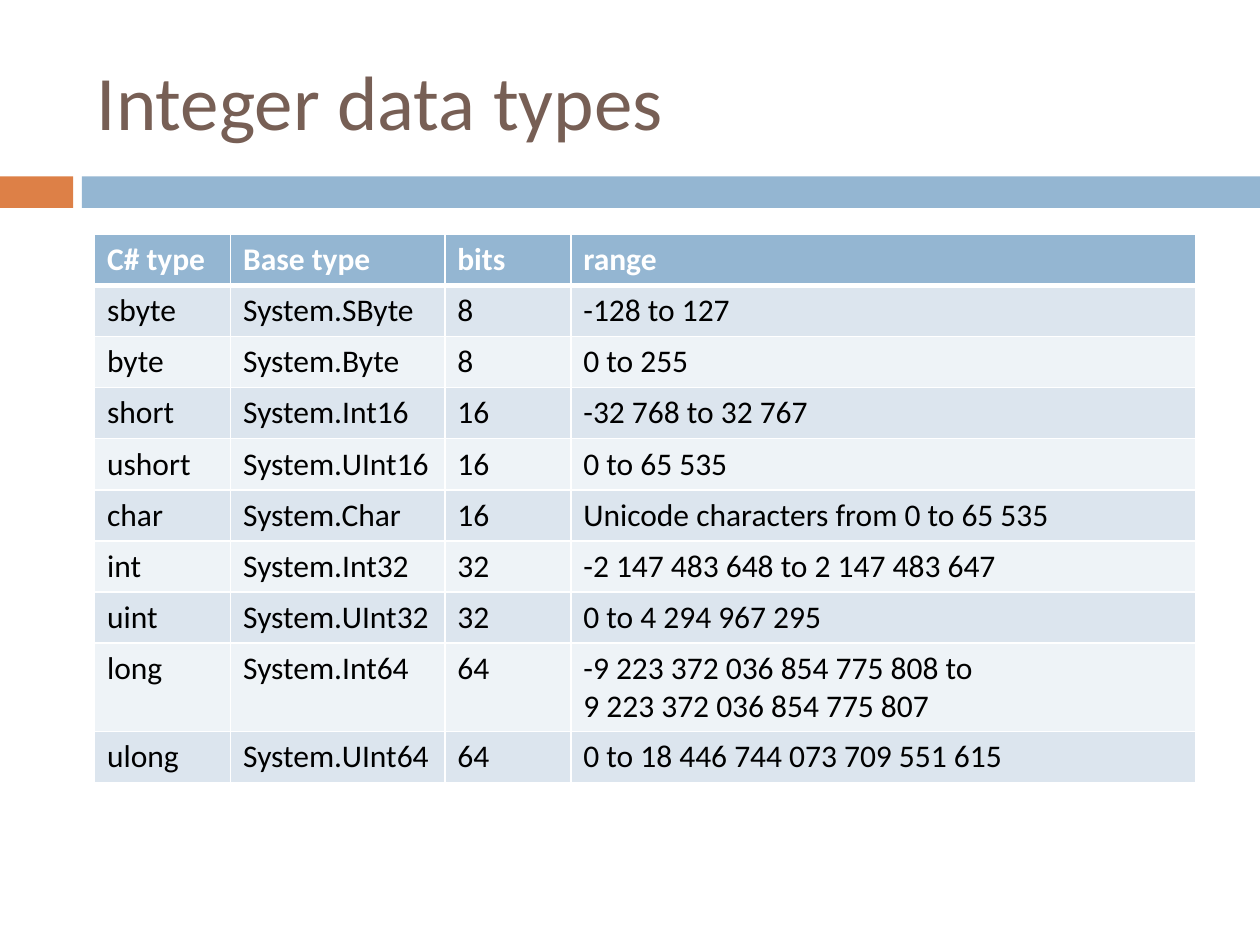
from dataclasses import dataclass

from lxml import etree
from pptx import Presentation
from pptx import util as u
from pptx.dml.color import RGBColor
from pptx.enum import shapes, text
from pptx.oxml import ns

WHITE = RGBColor(0xFF, 0xFF, 0xFF)
BLACK = RGBColor(0, 0, 0)
BROWN = RGBColor(0x77, 0x5F, 0x55)
ORANGE = RGBColor(0xDD, 0x80, 0x47)
BLUE = RGBColor(0x94, 0xB6, 0xD2)
DARK = RGBColor(0xDC, 0xE5, 0xEE)
LIGHT = RGBColor(0xEE, 0xF3, 0xF7)
FONT = "Calibri"

WIDTHS = [1.08, 1.7, 1, 4.96]
HEIGHT = 3.65 / 9  # nine single-line rows
HEADS = ["C# type", "Base type", "bits", "range"]


@dataclass
class Bar:
    left: float
    width: float
    color: RGBColor


@dataclass
class Kind:
    name: str
    full: str
    bits: int
    span: str

    def cells(self) -> list[str]:
        return [self.name, f"System.{self.full}", str(self.bits), self.span]


BARS = [Bar(0, 0.58, ORANGE), Bar(0.65, 9.35, BLUE)]
KINDS = [
    Kind("sbyte", "SByte", 8, "-128 to 127"),
    Kind("byte", "Byte", 8, "0 to 255"),
    Kind("short", "Int16", 16, "-32 768 to 32 767"),
    Kind("ushort", "UInt16", 16, "0 to 65 535"),
    Kind("char", "Char", 16, "Unicode characters from 0 to 65 535"),
    Kind("int", "Int32", 32, "-2 147 483 648 to 2 147 483 647"),
    Kind("uint", "UInt32", 32, "0 to 4 294 967 295"),
    Kind("long", "Int64", 64,
         "-9 223 372 036 854 775 808 to \n9 223 372 036 854 775 807"),
    Kind("ulong", "UInt64", 64, "0 to 18 446 744 073 709 551 615"),
]


def write(frame, words: str, size: float, color: RGBColor,
          bold: bool = False) -> None:
    para = frame.paragraphs[0]
    for num, line in enumerate(words.split("\n")):
        if num:
            para.add_line_break()
        run = para.add_run()
        run.text = line
        run.font.name = FONT
        run.font.size = u.Pt(size)
        run.font.bold = bold
        run.font.color.rgb = color


def draw_bar(slide, bar: Bar) -> None:
    box = slide.shapes.add_shape(
        shapes.MSO_SHAPE.RECTANGLE, u.Inches(bar.left), u.Inches(1.4),
        u.Inches(bar.width), u.Inches(0.25))
    box.shadow.inherit = False
    box.fill.solid()
    box.fill.fore_color.rgb = bar.color
    box.line.fill.background()


def draw_title(slide, words: str) -> None:
    box = slide.shapes.add_textbox(
        u.Inches(0.67), u.Inches(0.25), u.Inches(8.92), u.Inches(1.08))
    frame = box.text_frame
    frame.word_wrap = True
    frame.vertical_anchor = text.MSO_ANCHOR.MIDDLE
    write(frame, words, 44, BROWN)


def edge(cell, top: float, base: float) -> None:
    """Give a cell white borders; they must precede its fill in the XML."""
    props = cell._tc.get_or_add_tcPr()
    sides = [("lnL", 1), ("lnR", 1), ("lnT", top), ("lnB", base)]
    for num, (tag, width) in enumerate(sides):
        line = etree.Element(ns.qn(f"a:{tag}"), w=str(u.Pt(width)))
        fill = etree.SubElement(line, ns.qn("a:solidFill"))
        etree.SubElement(fill, ns.qn("a:srgbClr"), val=str(WHITE))
        props.insert(num, line)


def draw_table(slide) -> None:
    rows = [HEADS] + [kind.cells() for kind in KINDS]
    grid = slide.shapes.add_table(
        len(rows), len(WIDTHS), u.Inches(0.75), u.Inches(1.86),
        u.Inches(sum(WIDTHS)), u.Inches(HEIGHT * len(rows))).table
    for col, width in zip(grid.columns, WIDTHS):
        col.width = u.Inches(width)
    for num, row in enumerate(rows):
        grid.rows[num].height = u.Inches(HEIGHT)
        head = num == 0
        shade = BLUE if head else DARK if num % 2 else LIGHT
        for col, words in enumerate(row):
            cell = grid.cell(num, col)
            cell.fill.solid()
            cell.fill.fore_color.rgb = shade
            # A thick rule parts the header from the body
            edge(cell, 3 if num == 1 else 1, 3 if head else 1)
            write(cell.text_frame, words, 18, WHITE if head else BLACK, head)


def main() -> None:
    deck = Presentation()
    deck.slide_width, deck.slide_height = u.Inches(10), u.Inches(7.5)
    slide = deck.slides.add_slide(deck.slide_layouts[6])
    # Band under the title
    for bar in BARS:
        draw_bar(slide, bar)
    draw_title(slide, "Integer data types")
    draw_table(slide)
    deck.save("out.pptx")


if __name__ == "__main__":
    main()
